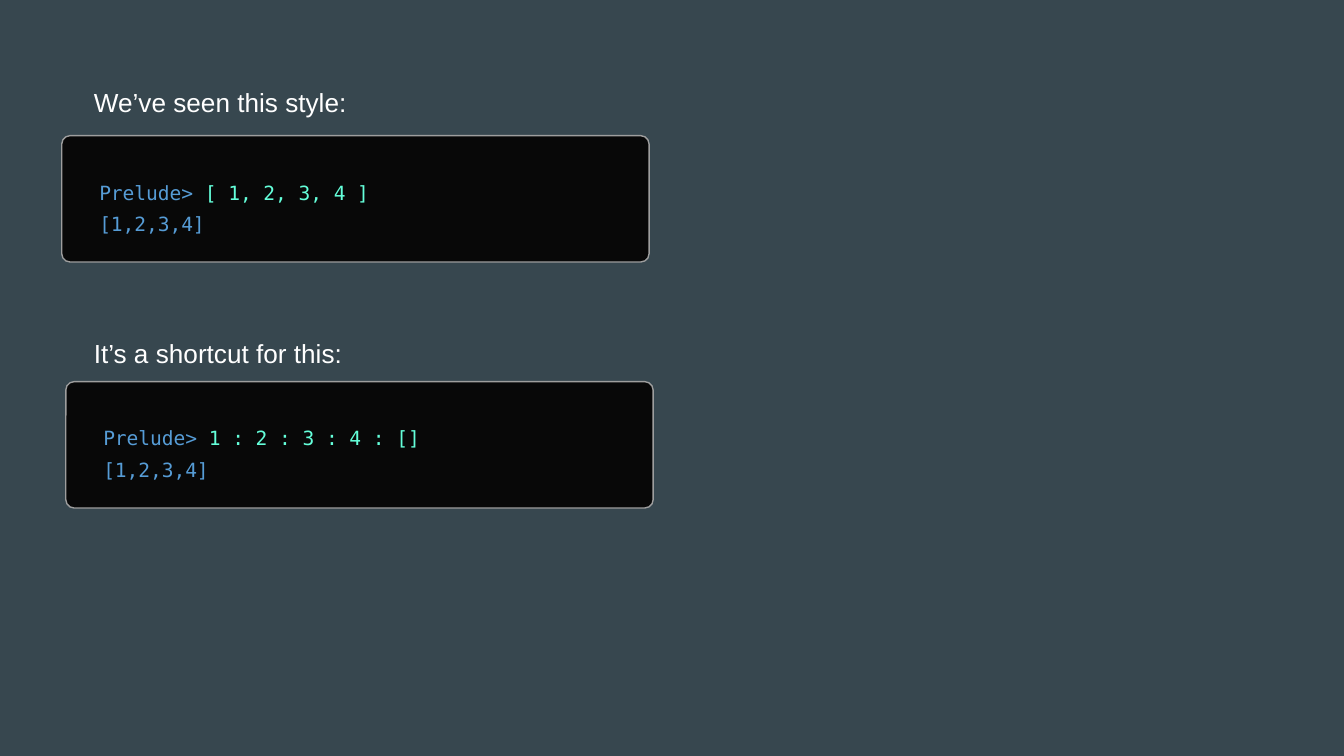
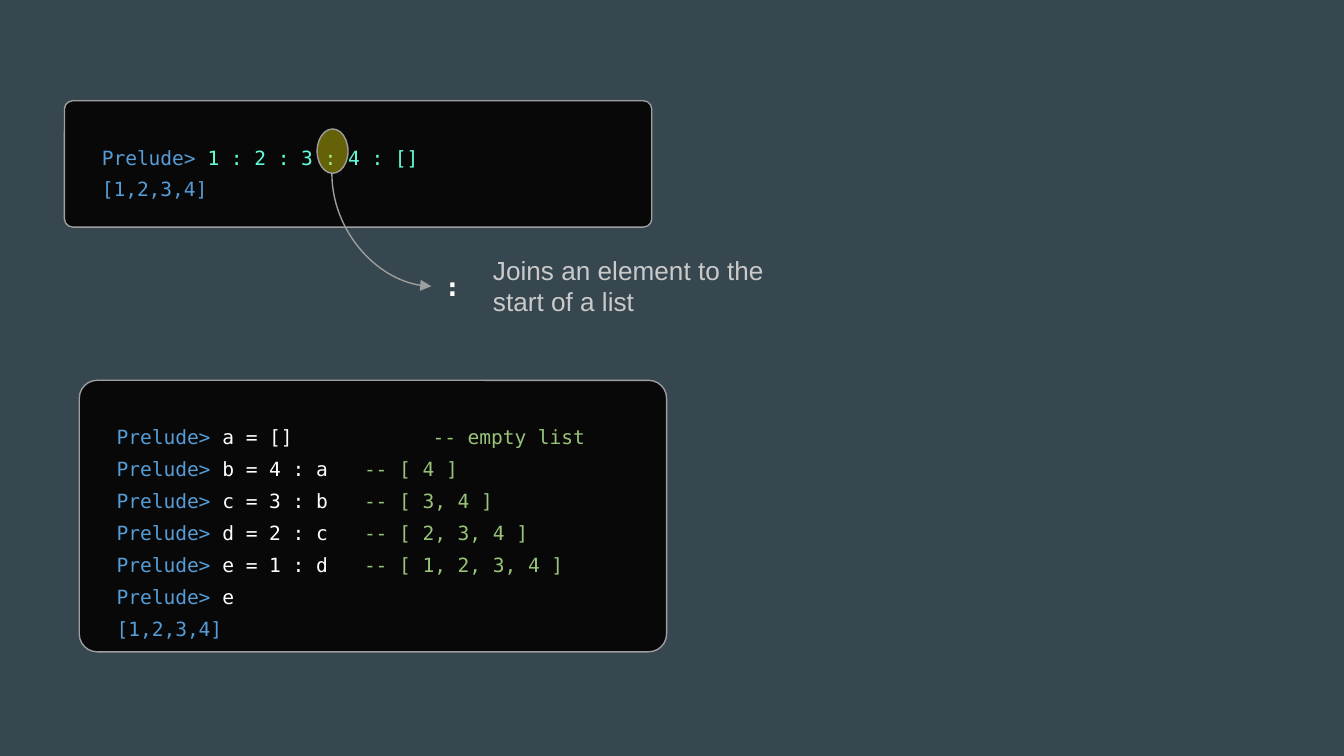
from lxml.etree import SubElement
from pptx import Presentation
from pptx.dml.color import RGBColor
from pptx.enum.shapes import MSO_CONNECTOR as Connector, MSO_SHAPE as Shape
from pptx.enum.text import MSO_AUTO_SIZE as AutoSize
from pptx.oxml.ns import qn
from pptx.util import Inches, Pt

BACKGROUND = "37474F"
PANEL = "080808"
OUTLINE = "9E9E9E"
WHITE = "FFFFFF"
CAPTION = "CACACA"
PROMPT = "569CD6"
INPUT = "64FFDA"
COMMENT = "98C379"
HIGHLIGHT = "E8E209"
SANS = "Arial"
MONO = "DejaVu Sans Mono"
PANEL_WIDTH = 4.37
COMMENT_STOP = 1.84
EMPTY_LIST_STOP = 2.35

RESULT = [("[1,2,3,4]", PROMPT)]


def prompt_line(text, color=INPUT, comment=""):
    line = [("Prelude> ", PROMPT), (text, color)]
    return line + [("\t" + comment, COMMENT)] if comment else line


BRACKET_CODE = [prompt_line("[ 1, 2, 3, 4 ]"), RESULT]
CONS_CODE = [prompt_line("1 : 2 : 3 : 4 : []"), RESULT]
STEPS_CODE = [
    prompt_line("a = []", WHITE, "-- empty list"),
    prompt_line("b = 4 : a", WHITE, "-- [ 4 ]"),
    prompt_line("c = 3 : b", WHITE, "-- [ 3, 4 ]"),
    prompt_line("d = 2 : c", WHITE, "-- [ 2, 3, 4 ]"),
    prompt_line("e = 1 : d", WHITE, "-- [ 1, 2, 3, 4 ]"),
    prompt_line("e", WHITE),
    RESULT,
]


def set_color(color_format, value):
    color_format.rgb = RGBColor.from_string(value)


def set_fill(shape, color, alpha=None):
    shape.fill.solid()
    set_color(shape.fill.fore_color, color)
    if alpha is not None:
        color_element = shape.fill._xPr.find(qn("a:solidFill"))[0]
        SubElement(color_element, qn("a:alpha")).set("val", str(alpha * 1000))


def set_outline(shape):
    set_color(shape.line.color, OUTLINE)
    shape.line.width = Pt(0.75)


def add_panel_shape(shapes, kind, box, color, alpha=None):
    shape = shapes.add_shape(kind, *map(Inches, box))
    shape.shadow.inherit = False
    set_fill(shape, color, alpha)
    set_outline(shape)
    return shape


def add_text(shapes, box, lines, size=14, font=SANS, bold=False, spacing=None):
    text_box = shapes.add_textbox(*map(Inches, box))
    frame = text_box.text_frame
    frame.word_wrap = True
    frame.auto_size = AutoSize.SHAPE_TO_FIT_TEXT
    frame.margin_left = frame.margin_right = Inches(0.1)
    frame.margin_top = frame.margin_bottom = Inches(0.1)
    for index, line in enumerate(lines):
        paragraph = frame.paragraphs[0] if index == 0 else frame.add_paragraph()
        if spacing:
            paragraph.line_spacing = spacing
        for text, color in line:
            run = paragraph.add_run()
            run.text = text
            run.font.size = Pt(size)
            run.font.name = font
            run.font.bold = bold
            set_color(run.font.color, color)
    return text_box


def set_tab_stop(paragraph, position):
    tabs = SubElement(paragraph._p.get_or_add_pPr(), qn("a:tabLst"))
    tab = SubElement(tabs, qn("a:tab"))
    tab.set("pos", str(Inches(position)))
    tab.set("algn", "l")


def add_code_panel(slide, left, top, height, code):
    shapes = slide.shapes.add_group_shape().shapes
    panel = add_panel_shape(shapes, Shape.ROUNDED_RECTANGLE,
                            (left, top, PANEL_WIDTH, height), PANEL)
    panel.adjustments[0] = 0.066
    text_box = (left + 0.18, top + 0.17, PANEL_WIDTH - 0.28, 0.14 + 0.24 * len(code))
    text = add_text(shapes, text_box, code, size=10.5, font=MONO, spacing=1.36)
    for paragraph, line in zip(text.text_frame.paragraphs, code):
        if len(line) == 3:
            empty_list = line[1][0].endswith("[]")
            set_tab_stop(paragraph, EMPTY_LIST_STOP if empty_list else COMMENT_STOP)


def add_curved_arrow(slide, start, end):
    (start_x, start_y), (end_x, end_y) = start, end
    center_x, center_y = (start_x + end_x) / 2, (start_y + end_y) / 2
    half_width, half_height = (end_y - start_y) / 2, (end_x - start_x) / 2
    arrow = slide.shapes.add_connector(
        Connector.CURVE,
        Inches(center_x + half_width), Inches(center_y - half_height),
        Inches(center_x - half_width), Inches(center_y + half_height))
    set_outline(arrow)
    properties = arrow._element.spPr
    properties.find(qn("a:xfrm")).set("rot", str(270 * 60000))
    properties.find(qn("a:prstGeom")).set("prst", "curvedConnector2")
    SubElement(properties.find(qn("a:ln")), qn("a:tailEnd")).set("type", "triangle")
    SubElement(properties, qn("a:effectLst"))


def build_shortcut_slide(slide):
    add_code_panel(slide, 0.46, 1.01, 0.94, BRACKET_CODE)
    add_code_panel(slide, 0.49, 2.84, 0.94, CONS_CODE)
    for top, caption in [(0.54, "We’ve seen this style:"),
                         (2.41, "It’s a shortcut for this:")]:
        add_text(slide.shapes, (0.6, top, 3.06, 0.44), [[(caption, WHITE)]])


def build_cons_slide(slide):
    add_code_panel(slide, 0.48, 0.75, 0.94, CONS_CODE)
    add_panel_shape(slide.shapes, Shape.OVAL, (2.36, 0.96, 0.23, 0.33), HIGHLIGHT, alpha=41)
    add_text(slide.shapes, (3.21, 1.91, 0.36, 0.44), [[(":", WHITE)]], font=MONO, bold=True)
    add_curved_arrow(slide, (2.47, 1.29), (3.21, 2.13))
    add_text(slide.shapes, (3.57, 1.79, 2.4, 0.67),
             [[("Joins an element to the start of a list", CAPTION)]])
    add_code_panel(slide, 0.59, 2.83, 2.02, STEPS_CODE)


def main():
    presentation = Presentation()
    presentation.slide_width = Inches(10)
    presentation.slide_height = Inches(10) * 9 // 16
    background = presentation.slide_master.background.fill
    background.solid()
    set_color(background.fore_color, BACKGROUND)
    blank_layout = presentation.slide_layouts[6]
    for build in (build_shortcut_slide, build_cons_slide):
        build(presentation.slides.add_slide(blank_layout))
    presentation.save("out.pptx")


if __name__ == "__main__":
    main()
